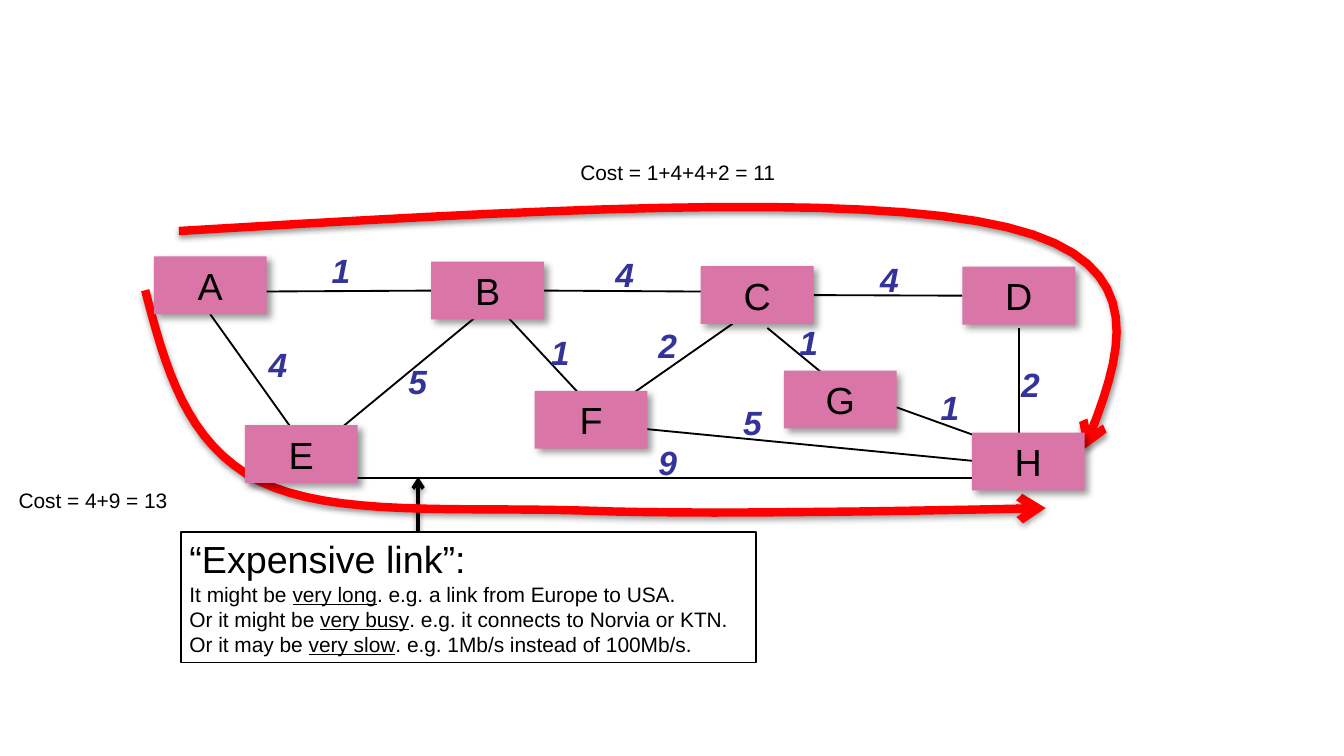
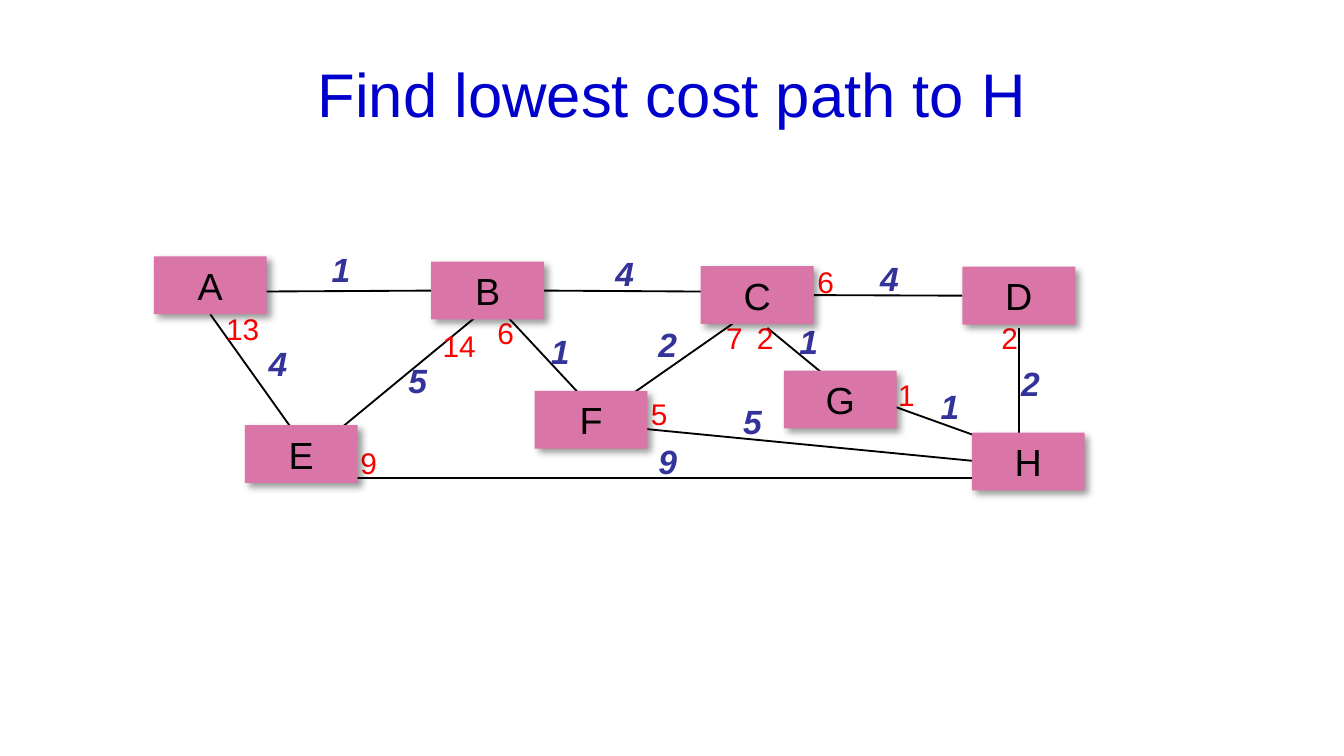
import collections
import dataclasses

import lxml.etree
import pptx
import pptx.dml.color
import pptx.enum.shapes
import pptx.enum.text
import pptx.oxml.ns
import pptx.util

Pt = pptx.util.Pt
qn = pptx.oxml.ns.qn
Align = pptx.enum.text.PP_ALIGN
Anchor = pptx.enum.text.MSO_ANCHOR
AutoSize = pptx.enum.text.MSO_AUTO_SIZE
RECTANGLE = pptx.enum.shapes.MSO_SHAPE.RECTANGLE
STRAIGHT = pptx.enum.shapes.MSO_CONNECTOR.STRAIGHT
BOTTOM, LEFT, RIGHT = 2, 1, 3

Box = collections.namedtuple("Box", "left top width height")
Shadow = collections.namedtuple("Shadow", "alpha blur dist angle")
Link = collections.namedtuple("Link", "ends start end weight spot")


@dataclasses.dataclass(frozen=True)
class Theme:
    font: str = "Arial"
    ink: str = "000000"
    paper: str = "FFFFFF"
    node: str = "D975A7"
    weight: str = "333399"
    red: str = "FF0000"
    title: str = "0000CC"
    title_size: float = 33
    node_size: float = 20.2
    weight_size: float = 18
    distance_size: float = 16
    small_size: float = 11.2
    node_shadow: Shadow = Shadow(40, 4, 3, 45)
    arrow_shadow: Shadow = Shadow(38, 3.1, 1.6, 90)


THEME = Theme()
SLIDE = Box(0, 0, 720, 405)
NETWORK = Box(82, 130, 499, 133)
TITLE = Box(0, 14, 720, 72)
NOTE = Box(97, 285, 308, 70)
NODE_WIDTH, NODE_HEIGHT = 60.5, 31

# Places in the network are measured from the corner of its box
NODES = {
    "A": (0.4, 7.4), "B": (149, 10.2), "C": (293.4, 12.6), "D": (433.6, 12.9),
    "E": (49.2, 97.8), "F": (204.4, 79.4), "G": (337.9, 68.6), "H": (438.6, 101.8),
}
LINKS = [
    Link("AB", (56.2, 26.2), (152, 26.2), 1, (88.6, 0.3)),
    Link("AE", (30.3, 37), (76.4, 102.6), 4, (54.8, 50.7)),
    Link("HE", (463.8, 126.3), (96.6, 126.3), 9, (263.6, 103.3)),
    Link("HF", (440, 117), (247, 98.2), 5, (309, 81.7)),
    Link("HG", (452.2, 107.6), (398.2, 88.2), 1, (414.8, 73.8)),
    Link("HD", (463.8, 102.6), (463.8, 45.7), 2, (458, 61.5)),
    Link("BC", (207.4, 26.2), (294.6, 26.2), 4, (240.6, 2.5)),
    Link("CD", (350, 29.1), (434.2, 29.1), 4, (382.4, 5.4)),
    Link("BF", (189.4, 39.2), (229, 81.7), 1, (206, 44.2)),
    Link("GC", (357.9, 69.4), (329.1, 45.7), 1, (339.2, 39.2)),
    Link("FC", (255.7, 81.7), (310.4, 43.5), 2, (263.6, 40.6)),
    Link("EB", (99.4, 100.4), (173.6, 39.2), 5, (129.7, 60.1)),
]
# Link ends that meet the middle of a node's side: (start side, end side)
JOINS = {"AB": (None, LEFT), "AE": (BOTTOM, None),
         "BC": (RIGHT, None), "CD": (RIGHT, LEFT)}
DISTANCES = [
    ("9", 106.6, 106.2), ("5", 262.2, 79.5), ("1", 394.6, 69.4), ("6", 351.4, 9),
    ("2", 319, 39.2), ("7", 302.5, 39.2), ("6", 180, 36.3), ("14", 150.6, 43.5),
    ("13", 34.6, 34.2), ("2", 450, 39.2),
]
# Each route: label, label box, then a start point and triples of Bezier points
ROUTES = [
    ("Cost = 4+9 = 13", Box(-79.1, 127.8, 95.8, 20.9),
     [(-4.2, 25.5), (6.6, 66.6), (17.4, 107.6), (57, 127.8), (96.6, 147.2),
      (162.1, 141.4), (232.6, 143.6), (302.5, 146.5), (478.2, 142.2), (478.2, 142.2)]),
    ("Cost = 1+4+4+2 = 11", Box(221.8, -47.9, 121.7, 20.9),
     [(13.8, -6.2), (195.2, -17), (375.9, -27.8), (457.3, -8.3),
      (537.9, 11.1), (518.5, 60.8), (499, 110.5)]),
]
NOTE_LINES = [
    ("It might be ", "very long", ". e.g. a link from Europe to USA."),
    ("Or it might be ", "very busy", ". e.g. it connects to Norvia or KTN."),
    ("Or it may be ", "very slow", ". e.g. 1Mb/s instead of 100Mb/s."),
]


# Shared helpers
def color(code):
    return pptx.dml.color.RGBColor.from_string(code)


def set_format(target, **values):
    for name, value in values.items():
        setattr(target, name, value)


def place(box, left, top, width, height):
    """Turn a place inside box into lengths on the slide."""
    return Pt(box.left + left), Pt(box.top + top), Pt(width), Pt(height)


def add_span(para, text, size, code, **values):
    span = para.add_run()
    span.text = text
    set_format(span.font, name=THEME.font, size=Pt(size), **values)
    span.font.color.rgb = color(code)


def set_frame(shape, across=7.2, down=3.6, **values):
    frame = shape.text_frame
    set_format(frame, margin_left=Pt(across), margin_right=Pt(across),
               margin_top=Pt(down), margin_bottom=Pt(down), **values)
    return frame


def add_label(page, area, text, size, code, across=7.2, down=3.6, **values):
    label = page.shapes.add_textbox(*area)
    frame = set_frame(label, across, down, word_wrap=False,
                      auto_size=AutoSize.SHAPE_TO_FIT_TEXT)
    add_span(frame.paragraphs[0], text, size, code, **values)


def set_effects(shape, shadow=None):
    properties = shape._element.spPr
    for old in properties.findall(qn("a:effectLst")):
        properties.remove(old)
    effects = lxml.etree.SubElement(properties, qn("a:effectLst"))
    if shadow:
        outer = lxml.etree.SubElement(
            effects, qn("a:outerShdw"), blurRad=str(Pt(shadow.blur)),
            dist=str(Pt(shadow.dist)), dir=str(shadow.angle * 60000),
            algn="tl", rotWithShape="0")
        tone = lxml.etree.SubElement(outer, qn("a:srgbClr"), val=THEME.ink)
        lxml.etree.SubElement(tone, qn("a:alpha"), val=str(shadow.alpha * 1000))


def set_line(shape, code, width, arrow=False):
    shape.line.color.rgb = color(code)
    shape.line.width = Pt(width)
    if arrow:
        line = shape._element.spPr.find(qn("a:ln"))
        lxml.etree.SubElement(line, qn("a:tailEnd"), type="arrow")


def add_line(page, box, start, end, width, arrow=False, shadow=None):
    points = [Pt(value) for x, y in (start, end)
              for value in (box.left + x, box.top + y)]
    line = page.shapes.add_connector(STRAIGHT, *points)
    set_line(line, THEME.ink, width, arrow)
    set_effects(line, shadow)
    return line


def bezier(points, steps=16):
    """Yield the points of a chain of cubic curves after its start."""
    for first in range(0, len(points) - 1, 3):
        corners = points[first:first + 4]
        for step in range(1, steps + 1):
            t = step / steps
            shares = ((1 - t) ** 3, 3 * t * (1 - t) ** 2, 3 * t * t * (1 - t), t ** 3)
            yield tuple(sum(share * corner[axis] for share, corner in zip(shares, corners))
                        for axis in (0, 1))


# Network parts
def add_links(page, box):
    return {link.ends: add_line(page, box, link.start, link.end, 1) for link in LINKS}


def add_nodes(page, box):
    nodes = {}
    for name, (left, top) in NODES.items():
        node = page.shapes.add_shape(
            RECTANGLE, *place(box, left, top, NODE_WIDTH, NODE_HEIGHT))
        node.fill.solid()
        node.fill.fore_color.rgb = color(THEME.node)
        node.line.fill.background()
        set_effects(node, THEME.node_shadow)
        frame = set_frame(node, 6.5, 3.2, word_wrap=True, vertical_anchor=Anchor.MIDDLE)
        para = frame.paragraphs[0]
        set_format(para, alignment=Align.CENTER, space_before=Pt(5.4), space_after=Pt(5.4))
        add_span(para, name, THEME.node_size, THEME.ink)
        nodes[name] = node
    return nodes


def join_links(links, nodes):
    for ends, (start_side, end_side) in JOINS.items():
        if start_side is not None:
            links[ends].begin_connect(nodes[ends[0]], start_side)
        if end_side is not None:
            links[ends].end_connect(nodes[ends[1]], end_side)


def add_weights(page, box, lift=0):
    for link in LINKS:
        left, top = link.spot
        add_label(page, place(box, left, top - lift, 24.5, 28.8), str(link.weight),
                  THEME.weight_size, THEME.weight, bold=True, italic=True)


def add_distances(page, box):
    for text, left, top in DISTANCES:
        width = 9 + 9 * len(text)
        add_label(page, place(box, left, top, width, 24), text,
                  THEME.distance_size, THEME.red, 4.5, 2.25)


def add_routes(page, box):
    for text, area, points in ROUTES:
        add_label(page, place(box, *area), text, THEME.small_size, THEME.ink)
        spots = [(Pt(box.left + x), Pt(box.top + y))
                 for x, y in [points[0], *bezier(points)]]
        builder = page.shapes.build_freeform(*spots[0])
        builder.add_line_segments(spots[1:], close=False)
        route = builder.convert_to_shape()
        route.fill.background()
        set_line(route, THEME.red, 4.5, arrow=True)
        set_effects(route, THEME.arrow_shadow)


# Note with its arrow up to the link
def add_note(page, box):
    add_line(page, box, (127, 0), (127, -29.5), 2, True, THEME.arrow_shadow)
    note = page.shapes.add_shape(RECTANGLE, *place(box, 0, 0, box.width, box.height))
    note.fill.solid()
    note.fill.fore_color.rgb = color(THEME.paper)
    set_line(note, THEME.ink, 0.75)
    set_effects(note)
    frame = set_frame(note, 4.5, 2.25, word_wrap=False, vertical_anchor=Anchor.TOP,
                      auto_size=AutoSize.SHAPE_TO_FIT_TEXT)
    para = frame.paragraphs[0]
    para.alignment = Align.LEFT
    add_span(para, "“Expensive link”:", THEME.node_size, THEME.ink)
    for before, stressed, after in NOTE_LINES:
        para = frame.add_paragraph()
        para.alignment = Align.LEFT
        for text, underline in ((before, False), (stressed, True), (after, False)):
            add_span(para, text, THEME.small_size, THEME.ink, underline=underline)


def add_title(page, box, text):
    title = page.shapes.title
    left, top, width, height = place(box, 0, 0, box.width, box.height)
    set_format(title, left=left, top=top, width=width, height=height)
    frame = set_frame(title, word_wrap=True, vertical_anchor=Anchor.MIDDLE,
                      auto_size=AutoSize.NONE)
    frame.paragraphs[0].alignment = Align.CENTER
    add_span(frame.paragraphs[0], text, THEME.title_size, THEME.title)


# Slides
def build_routes_page(deck):
    page = deck.slides.add_slide(deck.slide_layouts[6])
    links = add_links(page, NETWORK)
    add_note(page, NOTE)
    add_routes(page, NETWORK)
    join_links(links, add_nodes(page, NETWORK))
    add_weights(page, NETWORK)


def build_distances_page(deck):
    page = deck.slides.add_slide(deck.slide_layouts[5])
    links = add_links(page, NETWORK)
    add_title(page, TITLE, "Find lowest cost path to H")
    add_weights(page, NETWORK, lift=0.7)
    add_distances(page, NETWORK)
    join_links(links, add_nodes(page, NETWORK))


def main():
    deck = pptx.Presentation()
    set_format(deck, slide_width=Pt(SLIDE.width), slide_height=Pt(SLIDE.height))
    build_routes_page(deck)
    build_distances_page(deck)
    deck.save("out.pptx")


if __name__ == "__main__":
    main()
